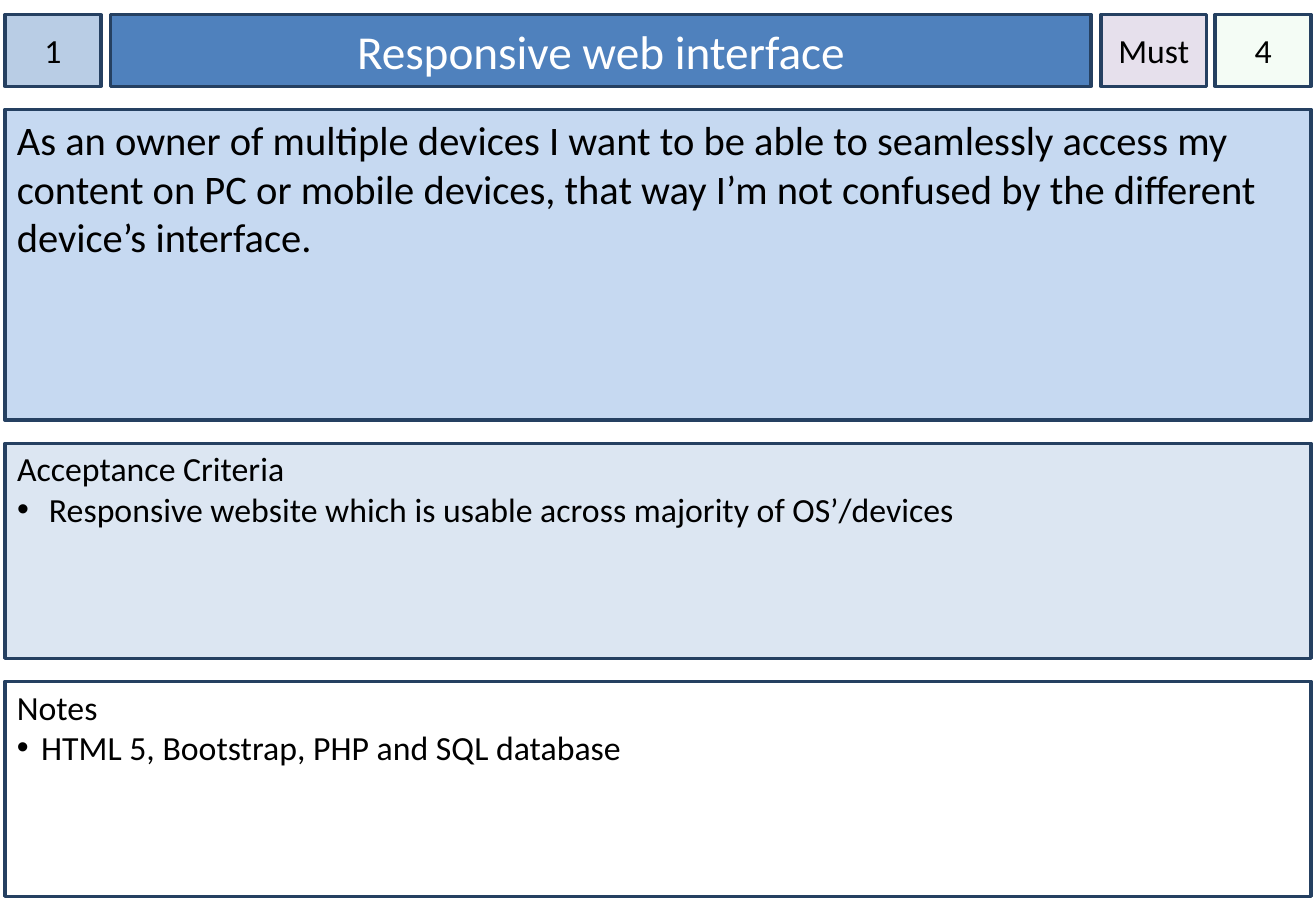
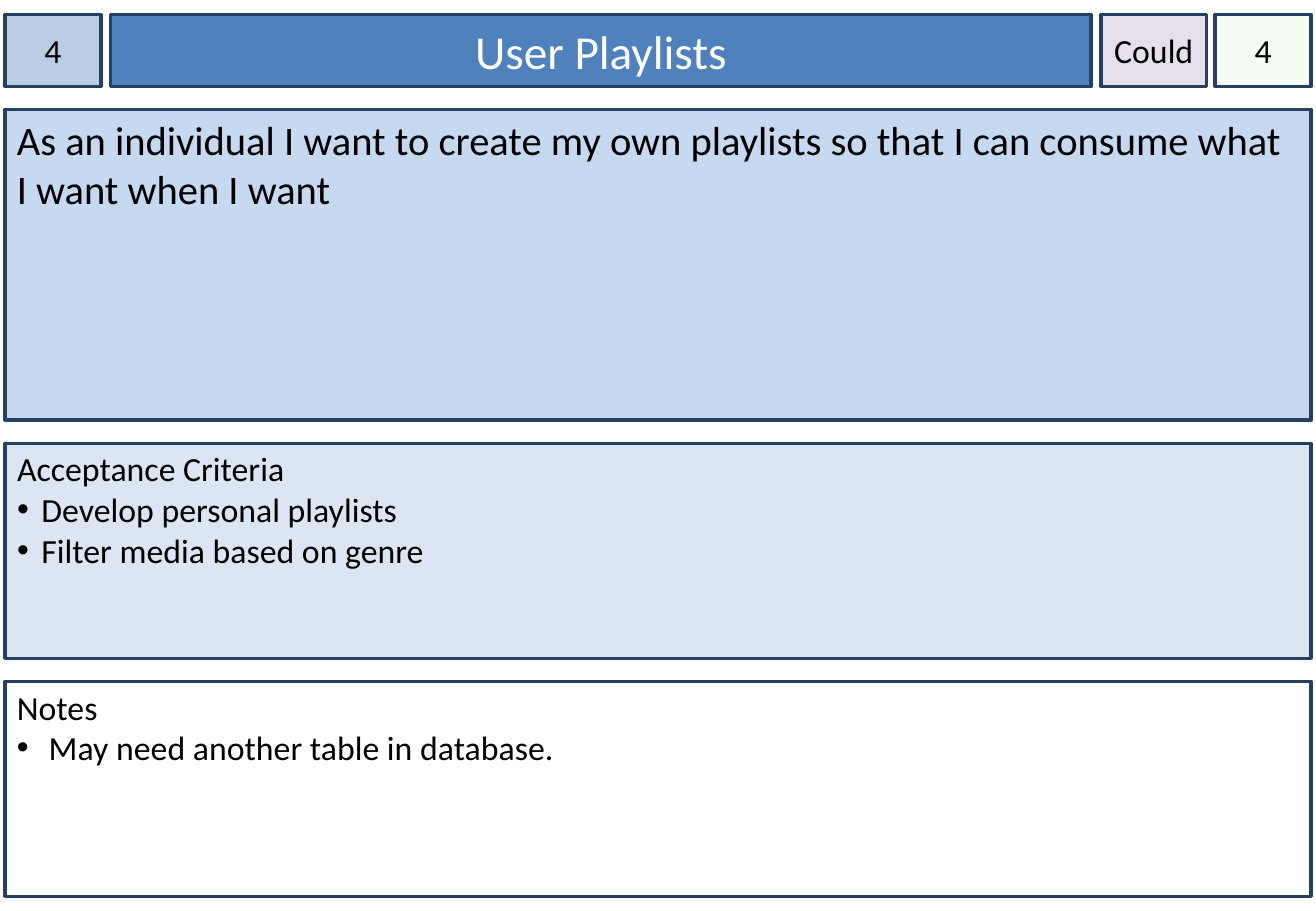
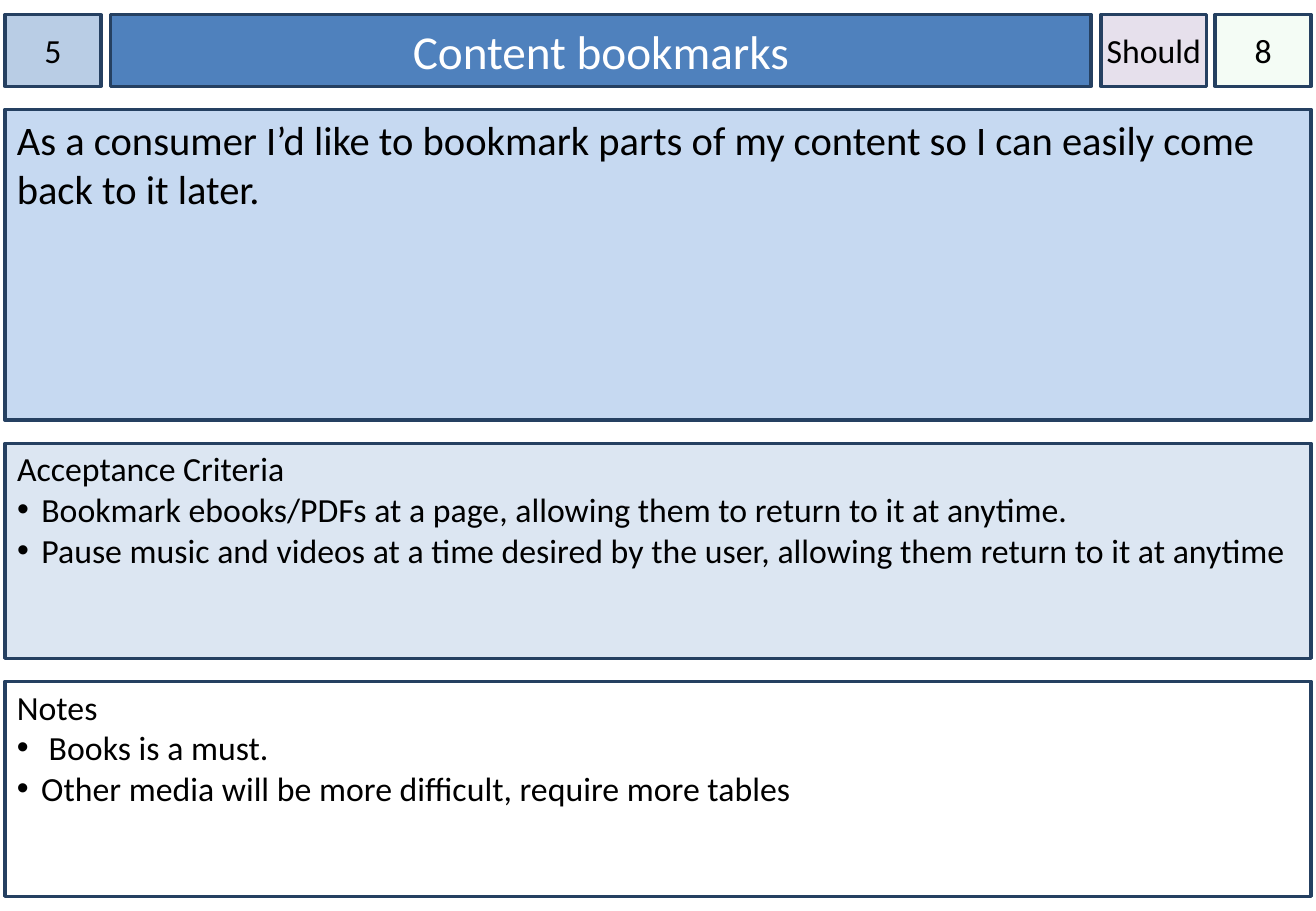
from pptx import Presentation, util as u
from pptx.dml.color import RGBColor
from pptx.enum import shapes, text
from pptx.oxml.ns import qn
from lxml import etree

deck = Presentation()
deck.slide_width, deck.slide_height = u.Inches(10.83), u.Inches(7.5)


def paint(part, tone):
    part.solid()
    part.fore_color.rgb = RGBColor.from_string(tone)


def write(para, words, look, dot):
    para.text = words
    para.alignment = look["align"]
    para.space_before = u.Pt(0)
    font = {"size": u.Pt(look["size"]), "name": "Calibri", "bold": False}
    for key, val in font.items():
        setattr(para.font, key, val)
    para.font.color.rgb = RGBColor.from_string(look["ink"])
    props = para._p.get_or_add_pPr()
    hang = u.Inches(0.2) if dot else 0
    props.set("marL", str(hang))
    props.set("indent", str(-hang))
    if dot:
        etree.SubElement(props, qn("a:buFont")).set("typeface", "Arial")
        etree.SubElement(props, qn("a:buChar")).set("char", "•")
    else:
        etree.SubElement(props, qn("a:buNone"))


left, gap, full = 0.04, 0.19, 10.75
top, high = 0.12, 0.59
story_y = top + high + gap
done_y = story_y + 2.56 + gap
notes_y = done_y + 1.77 + gap

base = {"size": 20, "ink": "000000", "align": text.PP_ALIGN.LEFT,
        "anchor": text.MSO_ANCHOR.TOP, "inset": (0.1, 0.05, 0.1, 0.05),
        "wrap": True, "alpha": None, "holder": None}
mid = base | {"align": text.PP_ALIGN.CENTER, "anchor": text.MSO_ANCHOR.MIDDLE}
badge = mid | {"inset": (0, 0.05, 0, 0.05)}
panel = base | {"inset": (0.1, 0.04, 0.1, 0.05)}

frames = {
    "number": ((left, top, 0.79, high), "B9CDE5", badge),
    "title": ((0.91, top, 8.07, high), "4F81BD",
              mid | {"size": 28, "ink": "FFFFFF", "holder": 0}),
    "story": ((left, story_y, full, 2.56), "C6D9F1", base | {"size": 24}),
    "criteria": ((left, done_y, full, 1.77), "DCE6F2", panel | {"holder": 1}),
    "points": ((10, top, 0.79, high), "CCF0CD", badge | {"alpha": 20}),
    "priority": ((9.06, top, 0.87, high), "E6E0EC", badge | {"wrap": False}),
    "remarks": ((left, notes_y, full, 1.77), "FFFFFF", panel),
}

cards = [
    {"number": ["1"], "title": ["Responsive web interface"],
     "story": ["As an owner of multiple devices I want to be able to seamlessly "
               "access my content on PC or mobile devices, that way I’m not "
               "confused by the different device’s interface."],
     "criteria": ["Acceptance Criteria",
                  " Responsive website which is usable across majority of OS’/devices"],
     "points": ["4"], "priority": ["Must"],
     "remarks": ["Notes", "HTML 5, Bootstrap, PHP and SQL database"]},
    {"number": ["4"], "title": ["User Playlists"],
     "story": ["As an individual I want to create my own playlists so that I can "
               "consume what I want when I want"],
     "criteria": ["Acceptance Criteria", "Develop personal playlists",
                  "Filter media based on genre"],
     "points": ["4"], "priority": ["Could"],
     "remarks": ["Notes", " May need another table in database."]},
    {"number": ["5"], "title": ["Content bookmarks"],
     "story": ["As a consumer I’d like to bookmark parts of my content so I can "
               "easily come back to it later."],
     "criteria": ["Acceptance Criteria",
                  "Bookmark ebooks/PDFs at a page, allowing them to return to it "
                  "at anytime.",
                  "Pause music and videos at a time desired by the user, allowing "
                  "them return to it at anytime"],
     "points": ["8"], "priority": ["Should"],
     "remarks": ["Notes", " Books is a must.",
                 "Other media will be more difficult, require more tables"]},
]

for card in cards:
    slide = deck.slides.add_slide(deck.slide_layouts[1])
    for role, (spot, tone, look) in frames.items():
        area = [u.Inches(side) for side in spot]
        if look["holder"] is None:
            box = slide.shapes.add_shape(shapes.MSO_SHAPE.RECTANGLE, *area)
        else:
            box = slide.placeholders[look["holder"]]
            for key, val in zip(("left", "top", "width", "height"), area):
                setattr(box, key, val)
        box.shadow.inherit = False
        paint(box.fill, tone)
        if look["alpha"]:
            shade = box._element.spPr.find(qn("a:solidFill"))[0]
            etree.SubElement(shade, qn("a:alpha")).set("val", str(look["alpha"] * 1000))
        paint(box.line.fill, "254061")
        box.line.width = u.Pt(2)

        frame = box.text_frame
        sides = ("margin_left", "margin_top", "margin_right", "margin_bottom")
        style = dict(zip(sides, map(u.Inches, look["inset"])))
        style |= {"vertical_anchor": look["anchor"], "word_wrap": look["wrap"],
                  "auto_size": text.MSO_AUTO_SIZE.NONE}
        for key, val in style.items():
            setattr(frame, key, val)
        for row, words in enumerate(card[role]):
            para = frame.add_paragraph() if row else frame.paragraphs[0]
            write(para, words, look, row > 0)

deck.save("out.pptx")
